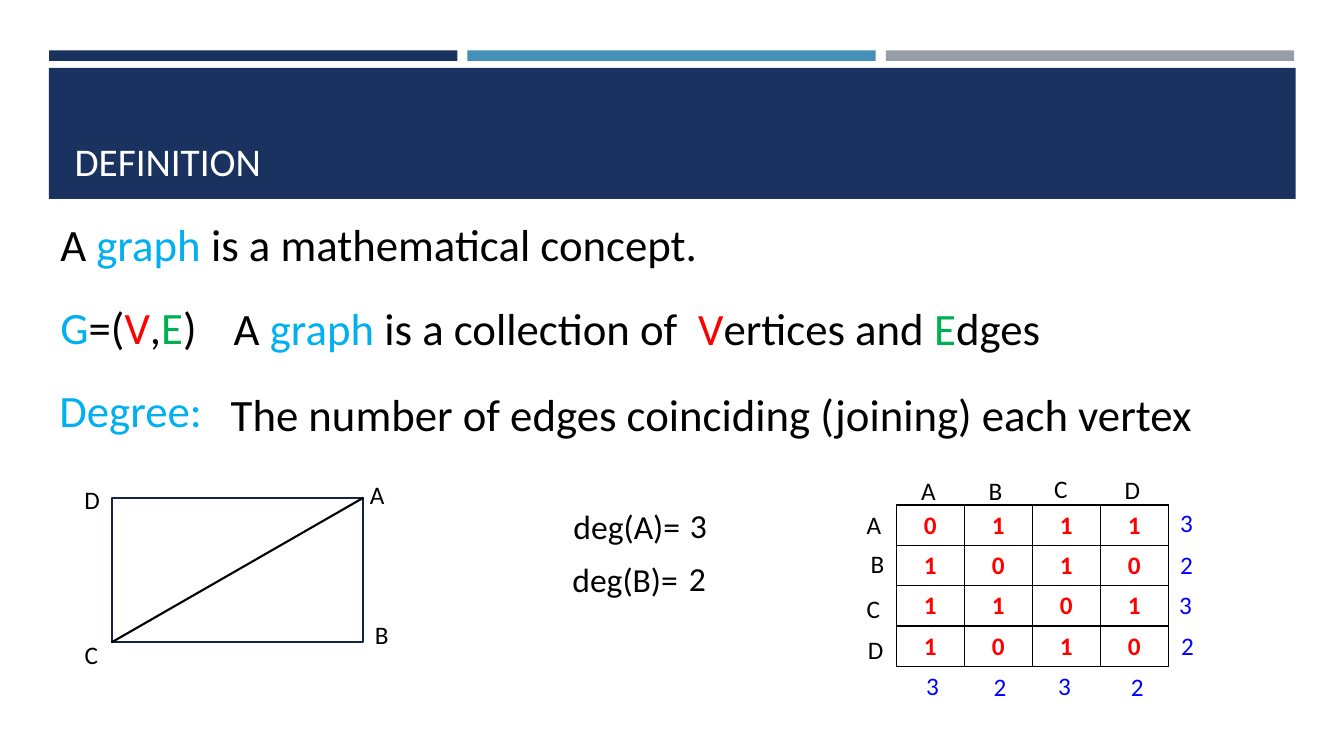
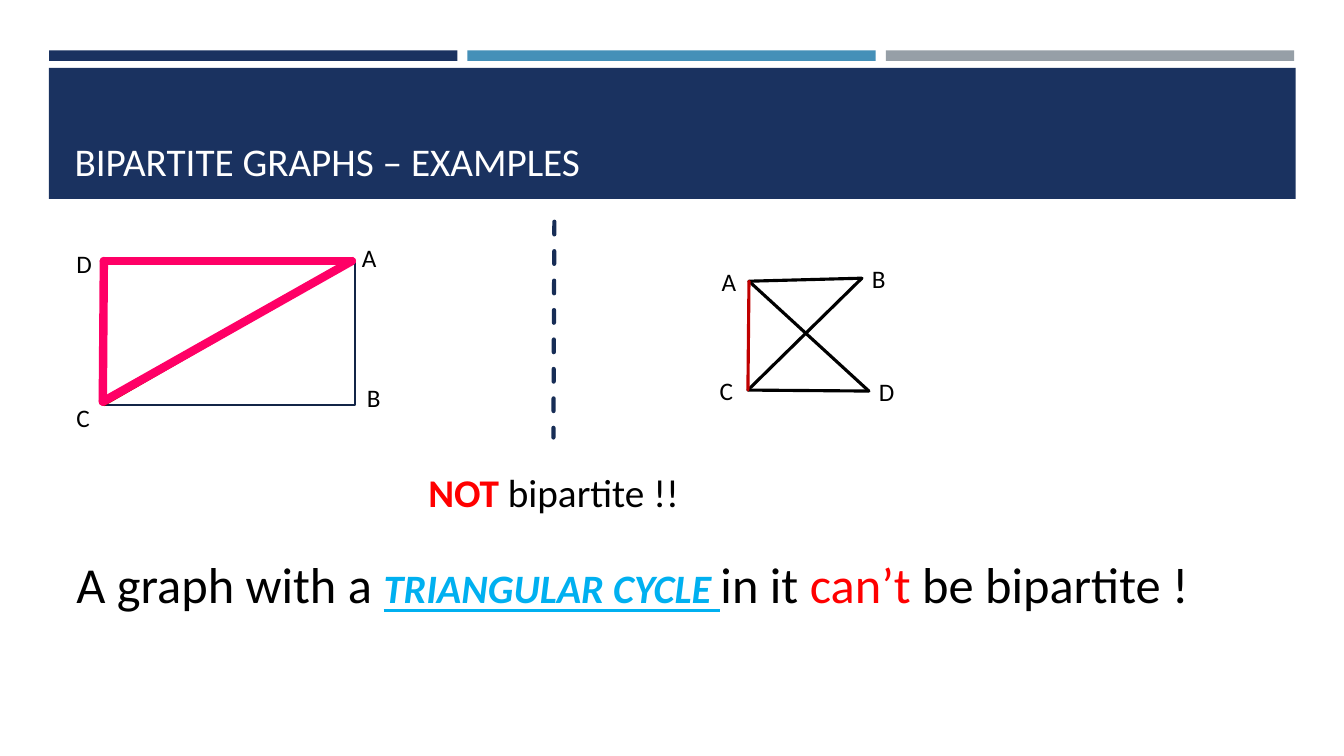
from lxml import etree
from pptx import Presentation
from pptx.dml.color import RGBColor
from pptx.enum.dml import MSO_LINE
from pptx.enum.shapes import MSO_CONNECTOR, MSO_SHAPE
from pptx.enum.text import MSO_ANCHOR, MSO_AUTO_SIZE, PP_ALIGN
from pptx.oxml.ns import qn
from pptx.util import Inches, Pt

RECT, STRAIGHT, DASH = MSO_SHAPE.RECTANGLE, MSO_CONNECTOR.STRAIGHT, MSO_LINE.DASH
BOTTOM, LEFT, CENTER = MSO_ANCHOR.BOTTOM, PP_ALIGN.LEFT, PP_ALIGN.CENTER
FIT_SHAPE, NO_FIT = MSO_AUTO_SIZE.SHAPE_TO_FIT_TEXT, MSO_AUTO_SIZE.NONE

NAVY = RGBColor(0x1A, 0x32, 0x60)
STEEL = RGBColor(0x45, 0x90, 0xB8)
GRAY = RGBColor(0x96, 0x9F, 0xA7)
OUTLINE = RGBColor(0x13, 0x25, 0x47)
DIVIDER = RGBColor(0x17, 0x2D, 0x56)
WHITE = RGBColor(0xFF, 0xFF, 0xFF)
BLACK = RGBColor(0, 0, 0)
SKY = RGBColor(0x00, 0xB0, 0xF0)
RED = RGBColor(0xFF, 0, 0)
DARK_RED = RGBColor(0xC0, 0, 0)
GREEN = RGBColor(0, 0xB0, 0x50)
BLUE = RGBColor(0, 0, 0xFF)
PINK = RGBColor(0xFF, 0, 0x66)

FONT = "Calibri"
WIDTH, HEIGHT = Inches(13.333), Inches(7.5)
LABEL_W = {"A": 2.78, "B": 2.55, "C": 2.85, "D": 2.93}
DIGIT_W = 2.48
RECT_W, RECT_H = 18.68, 19.07
CORNERS = [("A", 18.45, -3.07), ("B", 18.83, 15.4),
           ("C", -2.78, 18.07), ("D", -2.78, -2.4)]
ADJACENCY = [(0, 1, 1, 1), (1, 0, 1, 0), (1, 1, 0, 1), (1, 0, 1, 0)]


def across(share):
    return int(WIDTH * share / 100)


def down(share):
    return int(HEIGHT * share / 100)


def box(x, y, w, h):
    return across(x), down(y), across(w), down(h)


def add_run(p, text, size, color, bold=False, italic=False, underline=False, small_caps=False):
    r = p.add_run()
    r.text = text
    f = r.font
    f.name, f.size, f.color.rgb = FONT, Pt(size), color
    f.bold, f.italic, f.underline = bold, italic, underline
    if small_caps:
        r.font.color.rgb = color
        p.runs[-1].font.language_id = None
        r._r.get_or_add_rPr().set("cap", "small")


def add_text(s, x, y, w, size, *runs):
    height = Pt(size * 1.22 + 7.2)
    tf = s.shapes.add_textbox(across(x), down(y), across(w), height).text_frame
    tf.word_wrap = False
    tf.auto_size = FIT_SHAPE
    for text, color, *style in runs:
        add_run(tf.paragraphs[0], text, size, color, *style)


def add_labels(s, items):
    for name, x, y in items:
        add_text(s, x, y, LABEL_W[name], 18, (name, BLACK))


def add_degrees(s, values, xs, ys):
    for value, x, y in zip(values, xs, ys):
        add_text(s, x, y, DIGIT_W, 18, (str(value), BLUE))


def add_rect(s, x, y, w, h, fill=None, line=None):
    sp = s.shapes.add_shape(RECT, *box(x, y, w, h))
    sp.shadow.inherit = False
    if fill is None:
        sp.fill.background()
    else:
        sp.fill.solid()
        sp.fill.fore_color.rgb = fill
    if line is None:
        sp.line.fill.background()
    else:
        sp.line.color.rgb = line
        sp.line.width = Pt(1.75)
    return sp


def add_line(s, start, end, color, width, dash=None):
    cx = s.shapes.add_connector(STRAIGHT, across(start[0]), down(start[1]),
                                across(end[0]), down(end[1]))
    cx.line.color.rgb = color
    cx.line.width = Pt(width)
    if dash is not None:
        cx.line.dash_style = dash
    cx.get_or_add_ln().set("cap", "rnd")
    etree.SubElement(cx.element.spPr, qn("a:effectLst"))


def add_labelled_rectangle(s, x, y, diagonal):
    add_rect(s, x, y, RECT_W, RECT_H, line=OUTLINE)
    add_line(s, (x + RECT_W, y), (x, y + RECT_H), diagonal, 1.5)
    add_labels(s, [(name, x + dx, y + dy) for name, dx, dy in CORNERS])


def set_borders(cell, color, width):
    tcPr = cell._tc.get_or_add_tcPr()
    for side in ("a:lnL", "a:lnR", "a:lnT", "a:lnB"):
        ln = etree.SubElement(tcPr, qn(side), w=str(Pt(width)))
        fill = etree.SubElement(ln, qn("a:solidFill"))
        etree.SubElement(fill, qn("a:srgbClr"), val=str(color))


def add_matrix(s, x, y, col, row, values):
    n = len(values)
    table = s.shapes.add_table(n, n, *box(x, y, n * col, n * row)).table
    table.first_row = table.horz_banding = False
    for i, line in enumerate(values):
        for j, value in enumerate(line):
            cell = table.cell(i, j)
            set_borders(cell, BLACK, 1)
            cell.fill.background()
            p = cell.text_frame.paragraphs[0]
            p.alignment = CENTER
            add_run(p, str(value), 18, RED, True)


def decorate_layout(layout, s):
    for ph in list(layout.placeholders):
        if ph.placeholder_format.idx != 0:
            ph.element.getparent().remove(ph.element)
    bands = [add_rect(s, 3.65 + i * 31.13, 6.67, 30.38, 1.4, color)
             for i, color in enumerate((NAVY, STEEL, GRAY))]
    bands.append(add_rect(s, 3.63, 8.98, 92.77, 17.33, NAVY))
    for i, band in enumerate(bands):
        layout.element.cSld.spTree.insert(2 + i, band.element)


def add_title(s, text):
    title = s.shapes.title
    title.left, title.top, title.width, title.height = box(4.8, 10.27, 90.45, 14.8)
    tf = title.text_frame
    tf.vertical_anchor = BOTTOM
    tf.word_wrap = True
    tf.auto_size = NO_FIT
    p = tf.paragraphs[0]
    p.alignment = LEFT
    add_run(p, text, 28, WHITE)


def build_definition(s):
    add_title(s, "DEFINITION")
    add_text(s, 3.75, 28, 49.05, 32, ("A ", BLACK), ("graph", SKY),
             (" is a mathematical concept.", BLACK))
    add_text(s, 3.75, 38.93, 12.23, 32, ("G", SKY), ("=(", BLACK), ("V", RED),
             (",", BLACK), ("E", GREEN), (")", BLACK))
    add_text(s, 16.65, 39.07, 63.53, 32, ("A ", BLACK), ("graph", SKY),
             (" is a collection of  ", BLACK), ("V", RED), ("ertices and ", BLACK),
             ("E", GREEN), ("dges", BLACK))
    add_text(s, 3.68, 50, 12.3, 32, ("Degree:", SKY))
    add_text(s, 16.43, 50.53, 73.95, 32,
             ("The number of edges coinciding (joining) each vertex", BLACK))

    add_labelled_rectangle(s, 8.33, 65.87, BLACK)
    degrees = [sum(row) for row in ADJACENCY]
    for name, degree, x, y, w in (("A", degrees[0], 41.93, 66.27, 9.9),
                                  ("B", degrees[1], 41.85, 73.33, 9.6)):
        add_text(s, x, y, w, 24, (f"deg({name})=", BLACK))
        add_text(s, x + 8.67, y - 0.2, 2.78, 24, (str(degree), BLACK))

    add_matrix(s, 66.68, 66.8, 5.06, 5.33, ADJACENCY)
    add_labels(s, zip("ABCD", (67.8, 72.83, 77.7, 82.95), (62.27, 62.27, 62, 62.13)))
    add_labels(s, zip("ABCD", (63.75, 64.05, 63.75, 63.83), (66.67, 71.87, 77.87, 83.2)))
    add_degrees(s, degrees, (68.18, 73.2, 78, 83.4), (88, 88.13, 88, 88.13))
    add_degrees(s, degrees, (87.08, 87.08, 87, 87.15), (66.4, 72, 77.33, 82.67))


def build_bipartite(s):
    add_title(s, "BIPARTITE GRAPHS – EXAMPLES")
    add_labelled_rectangle(s, 7.73, 34.53, DARK_RED)
    add_line(s, (41.25, 29.33), (41.18, 57.87), DIVIDER, 3, DASH)

    add_labels(s, [("A", 52.95, 34.53), ("C", 52.8, 48.93),
                   ("D", 64.65, 49.07), ("B", 64.13, 34.13)])
    vertices = {"A": (55.73, 37.2), "B": (64.13, 36.8),
                "C": (55.65, 51.6), "D": (64.65, 51.73)}
    for start, end in ("AB", "AD", "CB", "CD", "AC"):
        color = DARK_RED if start + end == "AC" else BLACK
        add_line(s, vertices[start], vertices[end], color, 2.25)

    add_text(s, 31.13, 61.33, 21.83, 28, ("NOT", RED, True), (" bipartite !!", BLACK))
    add_text(s, 4.95, 72.53, 90.3, 36, ("A graph with a ", BLACK),
             ("triangular cycle ", SKY, True, True, True, True), ("in it ", BLACK),
             ("can’t", RED), (" be bipartite !", BLACK))

    cycle = [(26.18, 34.53), (7.65, 53.13), (7.73, 34.53)]
    for i, start in enumerate(cycle):
        add_line(s, start, cycle[(i + 1) % len(cycle)], PINK, 6)


def main():
    prs = Presentation()
    prs.slide_width, prs.slide_height = WIDTH, HEIGHT
    layout = prs.slide_layouts.get_by_name("Title Only")
    definition, bipartite = [prs.slides.add_slide(layout) for _ in range(2)]
    decorate_layout(layout, definition)
    build_definition(definition)
    build_bipartite(bipartite)
    prs.save("out.pptx")


main()
